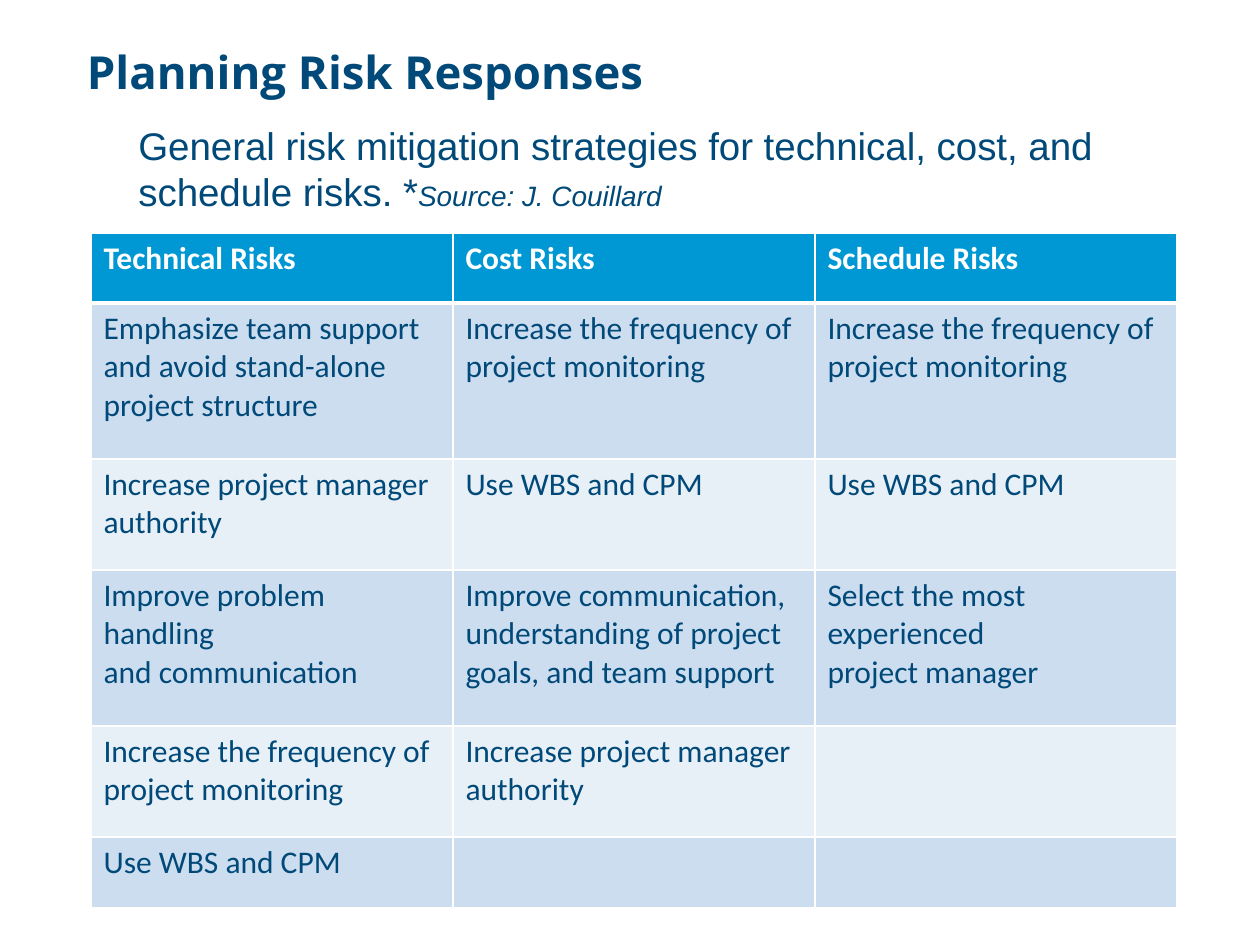
from pptx import Presentation, util as u
from pptx.dml.color import RGBColor
from pptx.oxml import parse_xml
from pptx.oxml.ns import nsdecls

# Content
TITLE = "Planning Risk Responses"
INTRO = "General risk mitigation strategies for technical, cost, and schedule risks. *"
SOURCE = "Source: J. Couillard"
MONITOR = "Increase the frequency of\nproject monitoring"
METHODS = "Use WBS and CPM"
LEADER = "Increase project manager\nauthority"
ROWS = [
    ("Technical Risks", "Cost Risks", "Schedule Risks"),
    ("Emphasize team support\nand avoid stand-alone\nproject structure", MONITOR, MONITOR),
    (LEADER, METHODS, METHODS),
    ("Improve problem handling\nand communication",
     "Improve communication,\nunderstanding of project\ngoals, and team support",
     "Select the most experienced\nproject manager"),
    (MONITOR, LEADER, ""),
    (METHODS, "", ""),
]

# Layout in px, 126 to the inch
WIDTH, HEIGHT = 1260, 945
TITLE_BOX = (87, 50, 1086, 64)
INTRO_BOX = (126, 116, 1086, 106)
LEFT, TOP, COL = 91, 233, 362
HIGH = [70, 156, 111, 156, 111, 71]

NAVY = RGBColor(0x00, 0x49, 0x78)
BLUE = RGBColor(0x00, 0x98, 0xD4)
DARK = RGBColor(0xCC, 0xDD, 0xEF)
LIGHT = RGBColor(0xE7, 0xEF, 0xF7)
WHITE = RGBColor(0xFF, 0xFF, 0xFF)

HEAD = dict(name="Open Sans", size=u.Pt(26), bold=True)
LEAD = dict(name="Arial", size=u.Pt(22))
CITE = dict(name="Arial", size=u.Pt(16), italic=True)
CELL = dict(name="Calibri", size=u.Pt(18))


def px(n):
    return u.Emu(round(n * 914400 / 126))


def style(font, form, color=NAVY):
    for key, value in form.items():
        setattr(font, key, value)
    font.color.rgb = color


def add_text(slide, box, runs, inset=None):
    frame = slide.shapes.add_textbox(*map(px, box)).text_frame
    frame.word_wrap = True
    if inset is not None:
        for side in ("left", "top", "right", "bottom"):
            setattr(frame, f"margin_{side}", inset)
    para = frame.paragraphs[0]
    for words, form in runs:
        run = para.add_run()
        run.text = words
        style(run.font, form)
    return para


def set_edges(cell, widths):
    props = cell._tc.get_or_add_tcPr()
    for i, (side, width) in enumerate(widths.items()):
        props.insert(i, parse_xml(
            f'<a:ln{side} {nsdecls("a")} w="{u.Pt(width)}"><a:solidFill>'
            f'<a:srgbClr val="{WHITE}"/></a:solidFill></a:ln{side}>'))


def add_grid(slide):
    table = slide.shapes.add_table(len(ROWS), len(ROWS[0]), px(LEFT), px(TOP),
                                   px(COL * len(ROWS[0])), px(sum(HIGH))).table
    for col in table.columns:
        col.width = px(COL)
    for r, row in enumerate(ROWS):
        table.rows[r].height = px(HIGH[r])
        top = r == 0
        for c, words in enumerate(row):
            cell = table.cell(r, c)
            cell.text = words
            cell.fill.solid()
            cell.fill.fore_color.rgb = BLUE if top else (LIGHT, DARK)[r % 2]
            for para in cell.text_frame.paragraphs:
                style(para.font, dict(CELL, bold=top), WHITE if top else NAVY)
                for run in para.runs:
                    style(run.font, dict(CELL, bold=top), WHITE if top else NAVY)
            # The header is set off by a thicker rule
            set_edges(cell, dict(L=1, R=1, T=3 if r == 1 else 1, B=3 if top else 1))


def main():
    deck = Presentation()
    deck.slide_width, deck.slide_height = px(WIDTH), px(HEIGHT)
    slide = deck.slides.add_slide(deck.slide_layouts[6])

    # Title, table and lead-in
    add_text(slide, TITLE_BOX, [(TITLE, HEAD)], 0).line_spacing = 0.9
    add_grid(slide)
    add_text(slide, INTRO_BOX, [(INTRO, LEAD), (SOURCE, CITE)])
    deck.save("out.pptx")


if __name__ == "__main__":
    main()
